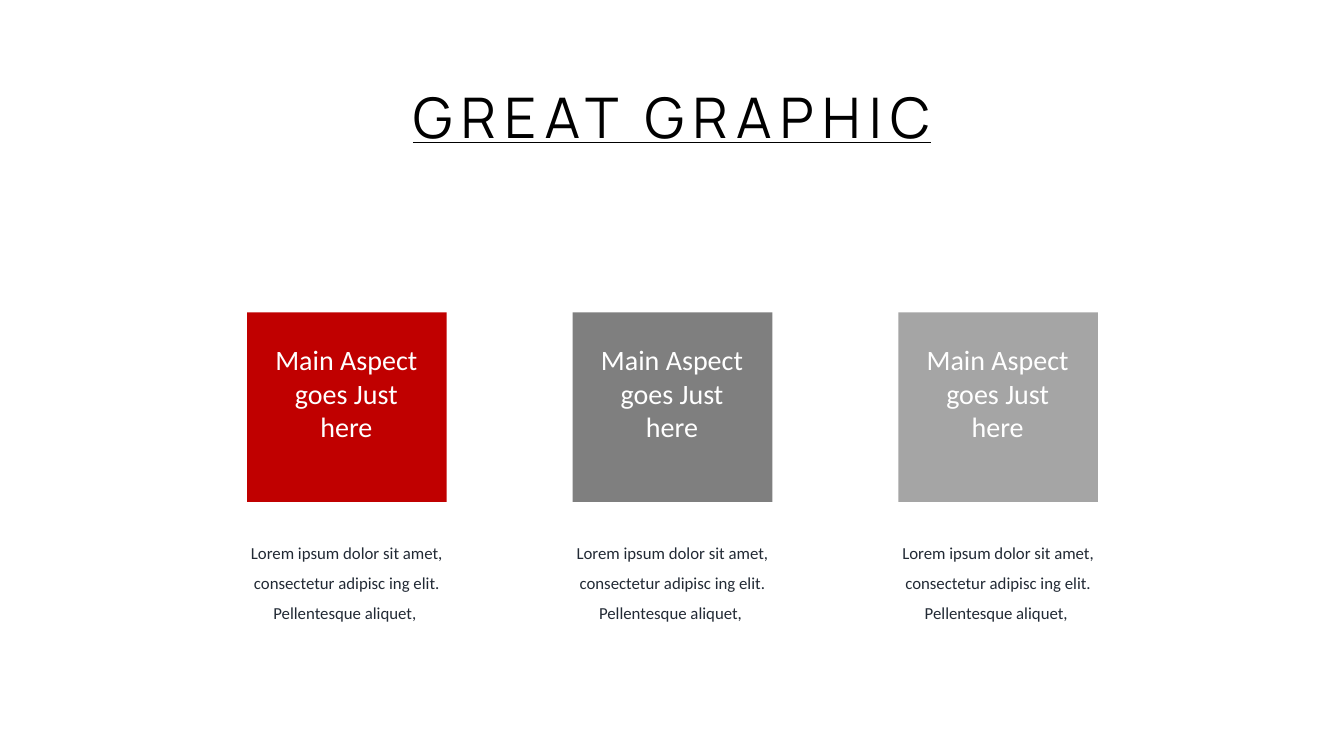
import pptx
import pptx.dml.color
import pptx.enum.shapes
import pptx.enum.text
import pptx.util

In = pptx.util.Inches
ALIGN = pptx.enum.text.PP_ALIGN
ANCHOR = pptx.enum.text.MSO_ANCHOR
AUTO = pptx.enum.text.MSO_AUTO_SIZE

COLORS = {"red": "C00000", "gray": "7F7F7F", "silver": "A5A5A5",
          "white": "FFFFFF", "navy": "222A35", "black": "000000"}

WIDTH, HEIGHT = 13.33, 7.5
TITLE_BOX = (3.78, 0.77, 5.77, 0.77)
# Column grid
LEFT, TOP, PITCH = 2.45, 3.1, 3.23
CARD_W, CARD_H = 1.98, 1.88
HEADING = "Main Aspect goes Just here"
BODY = "Lorem ipsum dolor sit amet, consectetur adipisc ing elit. Pellentesque aliquet, "


def rgb(name):
    return pptx.dml.color.RGBColor.from_string(COLORS[name])


def write(tf, *runs, size, color, font="Calibri", line=None, underline=None,
          spacing=None, wrap=True, anchor=ANCHOR.TOP):
    """Fill a text frame with one centred paragraph of equally formatted runs."""
    tf.word_wrap = wrap
    tf.auto_size = AUTO.NONE
    tf.vertical_anchor = anchor
    p = tf.paragraphs[0]
    p.alignment = ALIGN.CENTER
    if line:
        p.line_spacing = line
    for text in runs:
        r = p.add_run()
        r.text = text
        r.font.name = font
        r.font.size = pptx.util.Pt(size)
        r.font.color.rgb = rgb(color)
        r.font.underline = underline
        if spacing:
            r.font._element.set("spc", str(spacing * 100))


def add_text(shapes, box, text, **fmt):
    tb = shapes.add_textbox(*map(In, box))
    write(tb.text_frame, text, **fmt)


def add_title(s, box):
    title = s.shapes.title
    title.left, title.top, title.width, title.height = map(In, box)
    write(title.text_frame, "GREAT ", "GRAPHIC", size=40, color="black",
          font="Manrope", underline=True, spacing=6, wrap=False,
          anchor=ANCHOR.MIDDLE)


def add_column(s, x, y, w, h, color):
    # Coloured card with its heading
    card = s.shapes.add_group_shape()
    sp = card.shapes.add_shape(pptx.enum.shapes.MSO_SHAPE.RECTANGLE,
                               In(x), In(y), In(w), In(h))
    sp.shadow.inherit = False
    sp.fill.solid()
    sp.fill.fore_color.rgb = rgb(color)
    sp.line.fill.background()
    add_text(card.shapes, (x + 0.14, y + 0.25, w - 0.29, 1.11), HEADING,
             size=20, color="white")
    # Description, centred below the card
    body_w = 2.75
    add_text(s.shapes, (x + (w - body_w) / 2, y + h + 0.25, body_w, 0.98), BODY,
             size=12, color="navy", line=1.5)


def main():
    prs = pptx.Presentation()
    prs.slide_width, prs.slide_height = In(WIDTH), In(HEIGHT)
    s = prs.slides.add_slide(prs.slide_layouts.get_by_name("Title Only"))
    add_title(s, TITLE_BOX)
    for i, color in enumerate(("red", "gray", "silver")):
        add_column(s, LEFT + i * PITCH, TOP, CARD_W, CARD_H, color)
    prs.save("out.pptx")


if __name__ == "__main__":
    main()
